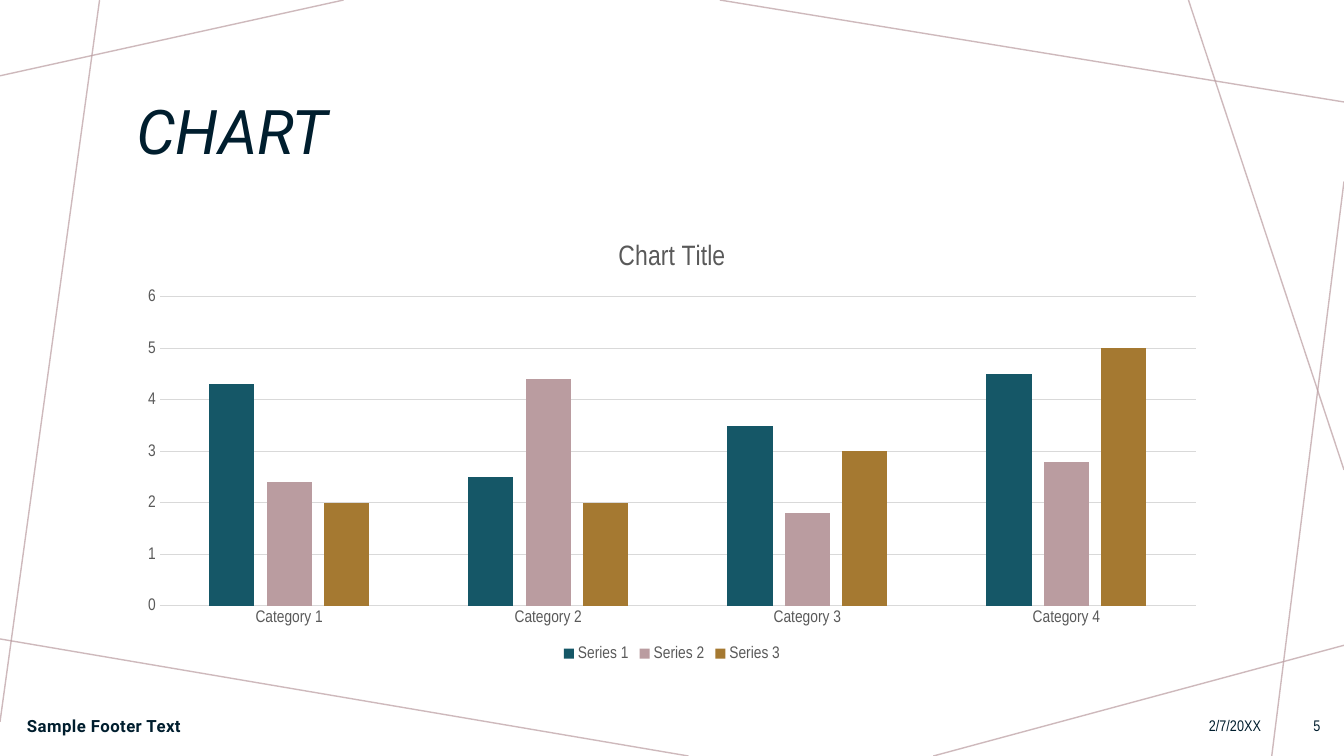
from lxml import etree
from pptx import Presentation
from pptx.chart.data import CategoryChartData
from pptx.dml.color import RGBColor
from pptx.enum import chart as ch, shapes, text
from pptx.oxml import ns
from pptx.util import Cm, Pt

COLORS = {"ink": "001E2E", "teal": "155767", "rose": "BA9CA0", "ochre": "A57931",
          "label": "595959", "grid": "D9D9D9"}
HEADING, BODY = "Roboto", "Arial Narrow"
WIDTH, HEIGHT = 33.87, 19.05
# Start x, start y, end x, end y in centimetres
RULES = [
    (8.66, 0, 0, 1.91),
    (2.51, 0, 0, 18.19),
    (17.35, HEIGHT, 0, 16.1),
    (WIDTH, 16.26, 23.52, HEIGHT),
    (WIDTH, 4.57, 32.05, HEIGHT),
    (WIDTH, 11.84, 29.95, 0),
    (WIDTH, 2.57, 18.14, 0),
]
CATEGORIES = [f"Category {i}" for i in range(1, 5)]
SERIES = [
    ("Series 1", (4.3, 2.5, 3.5, 4.5), "teal"),
    ("Series 2", (2.4, 4.4, 1.8, 2.8), "rose"),
    ("Series 3", (2, 2, 3, 5), "ochre"),
]


def rgb(name):
    return RGBColor.from_string(COLORS[name])


def style_font(font, size, color, name=BODY, bold=False, italic=False):
    font.size, font.name, font.bold, font.italic = Pt(size), name, bold, italic
    font.color.rgb = rgb(color)


def style_line(line, color, width):
    line.color.rgb = rgb(color)
    line.width = Pt(width)


def add_rule(s, x1, y1, x2, y2):
    """Draw one thin, 70 % opaque background line."""
    rule = s.shapes.add_connector(shapes.MSO_CONNECTOR.STRAIGHT,
                                  Cm(x1), Cm(y1), Cm(x2), Cm(y2))
    style_line(rule.line, "rose", 1)
    props = rule.element.spPr
    color = props.find(".//" + ns.qn("a:srgbClr"))
    etree.SubElement(color, ns.qn("a:alpha"), val="70000")
    etree.SubElement(props, ns.qn("a:effectLst"))


def fill_text(sp, content, align, size, **font):
    tf = sp.text_frame
    tf.word_wrap = True
    tf.auto_size = text.MSO_AUTO_SIZE.NONE
    tf.vertical_anchor = text.MSO_ANCHOR.MIDDLE
    p = tf.paragraphs[0]
    p.alignment = align
    r = p.add_run()
    r.text = content
    style_font(r.font, size, "ink", **font)
    return r


def set_title(s, content):
    sp = s.shapes.title
    sp.left, sp.top, sp.width, sp.height = Cm(3.18), Cm(1.47), Cm(27.51), Cm(3.84)
    r = fill_text(sp, content, text.PP_ALIGN.LEFT, 44, name=HEADING, italic=True)
    sp.text_frame.paragraphs[0].line_spacing = 0.9
    return r


def add_footer(s, left, width, content, align=text.PP_ALIGN.RIGHT, size=11, **font):
    sp = s.shapes.add_textbox(Cm(left), Cm(17.78), Cm(width), Cm(1.02))
    return fill_text(sp, content, align, size, **font)


def style_axes(chart):
    for axis in (chart.category_axis, chart.value_axis):
        axis.major_tick_mark = axis.minor_tick_mark = ch.XL_TICK_MARK.NONE
        style_font(axis.tick_labels.font, 12, "label")
    style_line(chart.category_axis.format.line, "grid", 0.75)
    values = chart.value_axis
    values.minimum_scale, values.maximum_scale, values.major_unit = 0, 6, 1
    values.format.line.fill.background()
    style_line(values.major_gridlines.format.line, "grid", 0.75)


def add_column_chart(s):
    data = CategoryChartData()
    data.categories = CATEGORIES
    for name, values, _ in SERIES:
        data.add_series(name, values)
    chart = s.shapes.add_chart(ch.XL_CHART_TYPE.COLUMN_CLUSTERED, Cm(3.18), Cm(5.59),
                               Cm(27.51), Cm(11.18), data).chart
    style_font(chart.font, 10, "label")

    chart.has_title = True
    r = chart.chart_title.text_frame.paragraphs[0].add_run()
    r.text = "Chart Title"
    style_font(r.font, 20, "label")
    chart.chart_title.include_in_layout = False

    chart.has_legend = True
    chart.legend.position = ch.XL_LEGEND_POSITION.BOTTOM
    chart.legend.include_in_layout = False
    style_font(chart.legend.font, 12, "label")

    style_axes(chart)
    plot = chart.plots[0]
    plot.gap_width, plot.overlap, plot.vary_by_categories = 219, -27, False
    for series, (_, _, color) in zip(plot.series, SERIES):
        series.format.fill.solid()
        series.format.fill.fore_color.rgb = rgb(color)


def main():
    prs = Presentation()
    prs.slide_width, prs.slide_height = Cm(WIDTH), Cm(HEIGHT)
    s = prs.slides.add_slide(prs.slide_layouts[5])
    for rule in RULES:
        add_rule(s, *rule)
    set_title(s, "CHART")
    add_column_chart(s)
    r = add_footer(s, 0.43, 12.5, "Sample Footer Text", text.PP_ALIGN.LEFT, 12,
                   name=HEADING, bold=True)
    r.font._element.set("spc", "30")
    add_footer(s, 20.37, 11.66, "2/7/20XX")
    add_footer(s, 32.23, 1.3, "5")
    prs.save("out.pptx")


if __name__ == "__main__":
    main()
